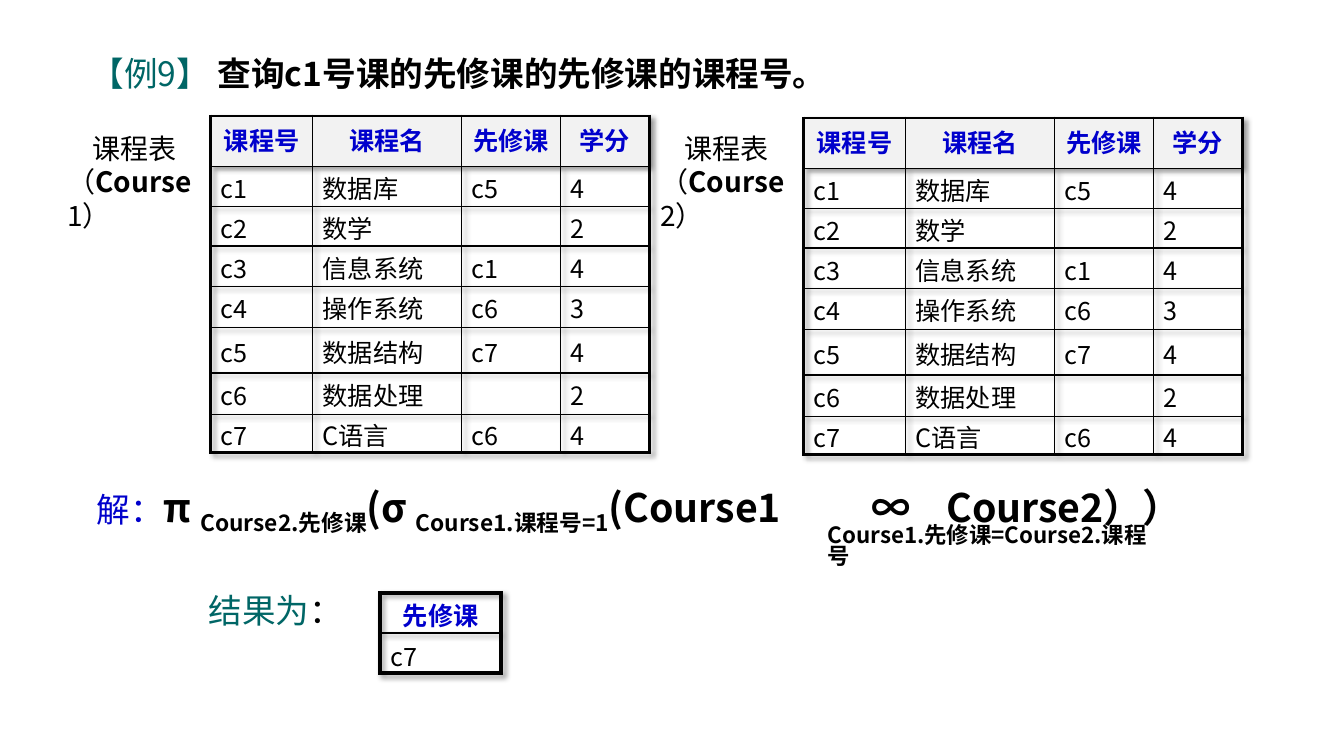
from lxml import etree
from pptx import Presentation
from pptx.dml.color import RGBColor
from pptx.enum.text import MSO_ANCHOR, PP_ALIGN
from pptx.oxml.ns import qn
from pptx.util import Inches, Pt

LEFT, CENTER = PP_ALIGN.LEFT, PP_ALIGN.CENTER
TOP, MIDDLE = MSO_ANCHOR.TOP, MSO_ANCHOR.MIDDLE
FONT = "Noto Sans CJK SC"
BLACK, BLUE, TEAL, GRAY = "000000", "0000CC", "006666", "F2F2F2"
NO_STYLE = "{2D5ABB26-0587-4C30-8999-92F81FD0307C}"


def color(value):
    return RGBColor.from_string(value)


def add_text(paragraph, text, size=18, fill=BLACK, bold=False, baseline=0):
    run = paragraph.add_run()
    run.text = text
    run.font.size = Pt(size)
    run.font.bold = bold
    run.font.color.rgb = color(fill)
    run.font.name = FONT
    properties = run.font._element
    etree.SubElement(properties, qn("a:ea")).set("typeface", FONT)
    if baseline:
        properties.set("baseline", str(baseline * 1000))


presentation = Presentation()
presentation.slide_width = Inches(13.33)
presentation.slide_height = Inches(7.5)
slide = presentation.slides.add_slide(presentation.slide_layouts[6])

formula = dict(size=28, bold=True)
subscript = dict(size=28, bold=True, baseline=-25)
title_runs = [
    ("【例9】 ", dict(size=24, fill=TEAL)),
    ("查询c1号课的先修课的先修课的课程号。", dict(size=24, bold=True)),
]
formula_runs = [
    ("解：", dict(size=24, fill=BLUE)),
    ("π ", formula),
    ("Course2.先修课", subscript),
    ("(σ ", formula),
    ("Course1.课程号=1", subscript),
    ("(Course1\t∞\tCourse2））", formula),
]
condition_runs = [("Course1.先修课=Course2.课程号", dict(size=16, bold=True))]
result_runs = [("结果为", dict(size=24, fill=TEAL)), ("：", dict(size=24))]

text_boxes = [
    ((0.4, 0.41, 8.77, 0.63), (0.5, 0), TOP, True, [(LEFT, 1.3, title_runs)]),
    ((0.88, 4.79, 12.37, 1.45), (0.08, 0), TOP, True, [(LEFT, 1, formula_runs)]),
    ((8.11, 5.1, 3.41, 0.67), (0.1, 0.05), MIDDLE, False, [(LEFT, 0.8, condition_runs)]),
    ((1.95, 5.85, 1.57, 0.91), (0, 0), TOP, True, [(CENTER, 1, result_runs)]),
]
for number, left in (("1", 0.57), ("2", 6.45)):
    name_runs = [
        ("（", dict(size=20)),
        ("Course", dict(size=20, bold=True)),
        (number + "）", dict(size=20)),
    ]
    lines = [(CENTER, 1, [("课程表", dict(size=20))]), (LEFT, 1, name_runs)]
    text_boxes.append(((left, 1.38, 1.52, 0.84), (0.1, 0.05), MIDDLE, False, lines))

for place, (side, edge), anchor, wrap, lines in text_boxes:
    frame = slide.shapes.add_textbox(*map(Inches, place)).text_frame
    frame.word_wrap = wrap
    frame.vertical_anchor = anchor
    frame.margin_left = Inches(side)
    frame.margin_right = Inches(0 if wrap else side)
    frame.margin_top = frame.margin_bottom = Inches(edge)
    for index, (align, spacing, runs) in enumerate(lines):
        paragraph = frame.add_paragraph() if index else frame.paragraphs[0]
        paragraph.alignment = align
        paragraph.line_spacing = spacing
        if runs is formula_runs:
            tabs = etree.SubElement(paragraph._p.get_or_add_pPr(), qn("a:tabLst"))
            for stop in (7.68, 8.43):
                etree.SubElement(tabs, qn("a:tab"), pos=str(Inches(stop)), algn="l")
        for text, style in runs:
            add_text(paragraph, text, **style)

courses = [
    ("课程号", "课程名", "先修课", "学分"),
    ("c1", "数据库", "c5", "4"),
    ("c2", "数学", "", "2"),
    ("c3", "信息系统", "c1", "4"),
    ("c4", "操作系统", "c6", "3"),
    ("c5", "数据结构", "c7", "4"),
    ("c6", "数据处理", "", "2"),
    ("c7", "C语言", "c6", "4"),
]
course_columns = [1.01, 1.48, 0.98, 0.88]
course_rows = [0.5, 0.4, 0.39, 0.4, 0.41, 0.45, 0.41, 0.38]
tables = [
    (2.09, 1.15, courses, course_columns, course_rows, 2.25, 1, GRAY, 0.02),
    (7.97, 1.17, courses, course_columns, course_rows, 2.25, 1, GRAY, 0.02),
    (3.77, 5.88, [("先修课",), ("c7",)], [1.2], [0.4, 0.4], 3, 1.5, None, 0.04),
]
for left, top, values, widths, heights, outer, inner, header_fill, margin in tables:
    last_row, last_column = len(heights) - 1, len(widths) - 1
    table = slide.shapes.add_table(
        len(heights), len(widths), Inches(left), Inches(top),
        Inches(sum(widths)), Inches(sum(heights)),
    ).table
    table.first_row = table.horz_banding = False
    properties = table._tbl.tblPr
    style = properties.find(qn("a:tableStyleId"))
    style.text = NO_STYLE
    effects = etree.Element(qn("a:effectLst"))
    style.addprevious(effects)
    shadow = etree.SubElement(
        effects, qn("a:outerShdw"), blurRad="50800", dist="38100", dir="2700000", algn="tl"
    )
    shade = etree.SubElement(shadow, qn("a:srgbClr"), val=BLACK)
    etree.SubElement(shade, qn("a:alpha"), val="40000")
    for column, width in zip(table.columns, widths):
        column.width = Inches(width)
    for r, height in enumerate(heights):
        table.rows[r].height = Inches(height)
        for c, text in enumerate(values[r]):
            cell = table.cell(r, c)
            cell.vertical_anchor = MIDDLE
            cell.margin_left = cell.margin_right = Inches(0.1)
            cell.margin_top = Inches(margin)
            cell.margin_bottom = 0
            cell_properties = cell._tc.get_or_add_tcPr()
            borders = (("L", c == 0), ("R", c == last_column), ("T", r == 0), ("B", r == last_row))
            for side, is_outer in borders:
                line = etree.SubElement(
                    cell_properties, qn("a:ln" + side), w=str(Pt(outer if is_outer else inner))
                )
                solid = etree.SubElement(line, qn("a:solidFill"))
                etree.SubElement(solid, qn("a:srgbClr"), val=BLACK)
            if r == 0 and header_fill:
                cell.margin_top, cell.margin_bottom = 0, Inches(0.03)
                cell.fill.solid()
                cell.fill.fore_color.rgb = color(header_fill)
            else:
                cell.fill.background()
            paragraph = cell.text_frame.paragraphs[0]
            paragraph.alignment = LEFT if r else CENTER
            if text:
                add_text(paragraph, text, fill=BLACK if r else BLUE, bold=r == 0)

presentation.save("out.pptx")
